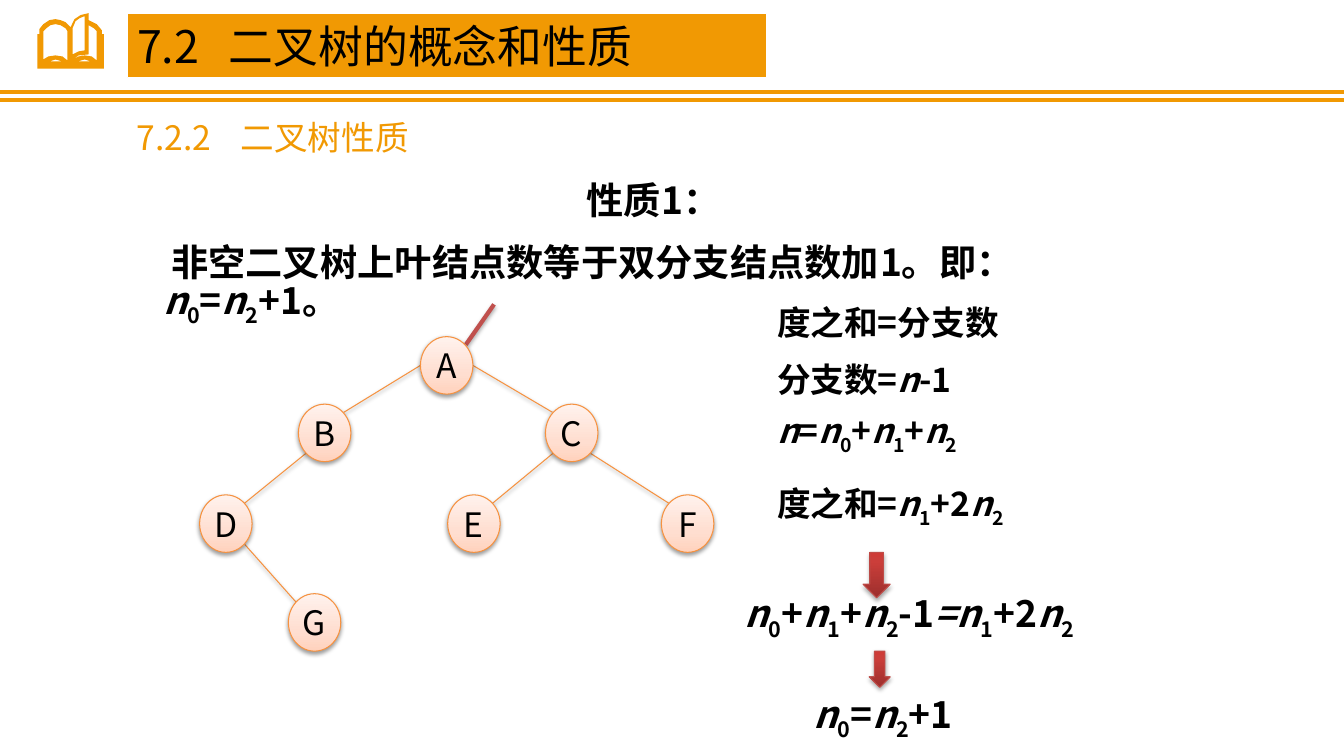
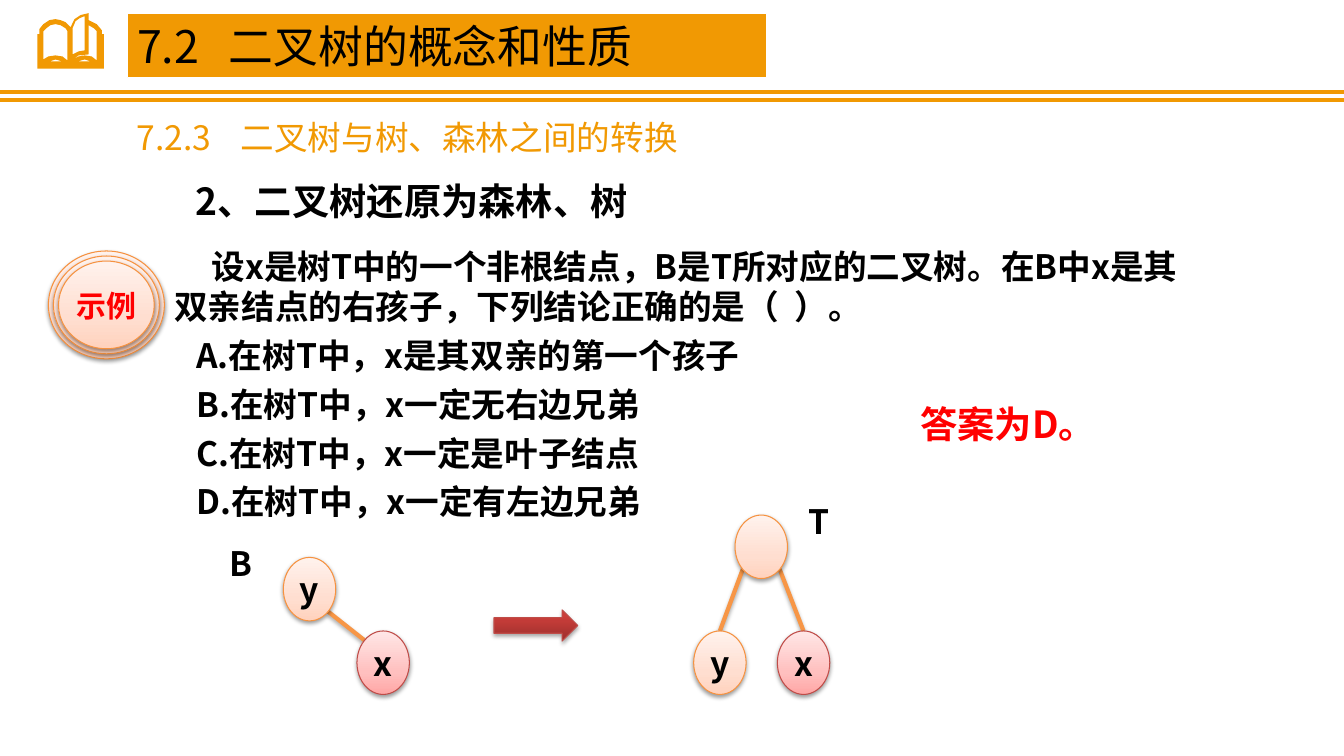
from lxml.etree import SubElement
from pptx import Presentation
from pptx.dml.color import RGBColor
from pptx.enum.shapes import MSO_CONNECTOR as LINK, MSO_SHAPE as SHAPE
from pptx.enum.text import MSO_ANCHOR as ANCHOR, MSO_AUTO_SIZE as FIT, PP_ALIGN as ALIGN
from pptx.oxml.ns import qn
from pptx.util import Inches, Pt

FONT = "Noto Sans CJK SC"
GOLD, BLACK, RED, WHITE = "F19903", "000000", "FF0000", "FFFFFF"
# Each tone: line colour, then gradient stops from bottom to top
PEACH = ("F69240", [(0, "FFD2BD"), (35, "FFDED0"), (100, "FFF2ED")])
PINK = ("BF4C48", [(0, "FFA6A5"), (35, "FFC0BF"), (100, "FFE7E7")])
BRICK = ("BF4C48", [(0, "9C2F2D"), (80, "CB3E3A"), (100, "CE3B37")])
BODY, LARGE = 24, 26.6
# Places on the rim of a node, as shares of its width and height
SITES = {"n": (0.5, 0), "w": (0, 0.5), "e": (1, 0.5), "nw": (0.15, 0.15),
         "ne": (0.85, 0.15), "sw": (0.15, 0.85), "se": (0.85, 0.85)}
# Outlines of the book, in hundredths of an inch
BOOK = [
    [(101, 34), (101, 30), (96, 24), (88, 20), (88, 13), (80, 15), (74, 19),
     (70, 27), (65, 22), (60, 20), (55, 19), (49, 20), (43, 24), (39, 29),
     (39, 34), (37, 34), (37, 68), (103, 68), (103, 34)],
    [(49, 61), (55, 59), (62, 61)],
    [(67, 60), (62, 56), (55, 55), (48, 56), (43, 59), (43, 31), (46, 28),
     (50, 25), (55, 24), (60, 25), (65, 28), (67, 31)],
    [(84, 16), (84, 50), (78, 51), (72, 54), (72, 28), (75, 21), (79, 18)],
    [(77, 61), (84, 59), (90, 61)],
    [(96, 60), (91, 56), (84, 55), (78, 56), (72, 59), (78, 55), (88, 54),
     (88, 25), (93, 28), (96, 31)],
]


def rgb(code):
    return RGBColor.from_string(code)


def place(shape, box):
    shape.left, shape.top, shape.width, shape.height = map(Inches, box)


def mark(par, text):
    """Add runs to par: *x* is italic, _x puts one character below the line."""
    for i, part in enumerate(text.split("*")):
        first, *rest = part.split("_")
        pieces = [(first, False)]
        for piece in rest:
            pieces += [(piece[0], True), (piece[1:], False)]
        for piece, low in pieces:
            if piece:
                run = par.add_run()
                run.text = piece
                run.font.italic = i % 2 == 1
                if low:
                    run._r.get_or_add_rPr().set("baseline", "-25000")


def style(par, size, color=BLACK, bold=False, align=ALIGN.LEFT):
    par.alignment = align
    par.line_spacing = Pt(size * 1.2)
    for run in par.runs:
        font = run.font
        font.size, font.bold, font.name = Pt(size), bold, FONT
        font.color.rgb = rgb(color)
        SubElement(run._r.get_or_add_rPr(), qn("a:ea")).set("typeface", FONT)


def indent(par, left, first=0):
    props = par._p.get_or_add_pPr()
    props.set("marL", str(Inches(left)))
    props.set("indent", str(Inches(first)))


def stop(par, at):
    tabs = SubElement(par._p.get_or_add_pPr(), qn("a:tabLst"))
    tab = SubElement(tabs, qn("a:tab"))
    tab.set("pos", str(Inches(at)))
    tab.set("algn", "l")


def write(slide, box, lines, size=BODY, color=BLACK, bold=True,
          align=ALIGN.LEFT, gap=0):
    """Add a text box with one paragraph a line and return its paragraphs."""
    frame = slide.shapes.add_textbox(*map(Inches, box)).text_frame
    frame.word_wrap = True
    frame.margin_top = Inches(0.07)
    for i, line in enumerate(lines):
        par = frame.add_paragraph() if i else frame.paragraphs[0]
        mark(par, line)
        style(par, size, color, bold, align)
        if i and gap:
            par.space_before = Pt(gap)
    return frame.paragraphs


def shade(shape, alpha, dist):
    """Add a soft shadow below a shape or line whose line is already set."""
    effects = SubElement(shape.element.spPr, qn("a:effectLst"))
    outer = SubElement(effects, qn("a:outerShdw"))
    for key, value in (("blurRad", Pt(3.1)), ("dist", Pt(dist)),
                       ("dir", 5400000), ("rotWithShape", 0)):
        outer.set(key, str(value))
    color = SubElement(outer, qn("a:srgbClr"))
    color.set("val", BLACK)
    SubElement(color, qn("a:alpha")).set("val", str(alpha * 1000))


def solid(slide, kind, box, tone, alpha=38, dist=1.6):
    """Add a preset shape with a tone's gradient, line and shadow."""
    edge, stops = tone
    shape = slide.shapes.add_shape(kind, *map(Inches, box))
    shape.fill.gradient()
    shape.fill.gradient_angle = 90
    ramp = shape.element.spPr.find(qn("a:gradFill")).find(qn("a:gsLst"))
    for old in list(ramp):
        ramp.remove(old)
    for pos, code in stops:
        step = SubElement(ramp, qn("a:gs"))
        step.set("pos", str(pos * 1000))
        SubElement(step, qn("a:srgbClr")).set("val", code)
    shape.line.color.rgb = rgb(edge)
    shape.line.width = Pt(0.75)
    shade(shape, alpha, dist)
    return shape


def arrow(slide, kind, box):
    solid(slide, kind, box, BRICK, 35, 1.8)


def line(slide, start, end, color, width):
    link = slide.shapes.add_connector(LINK.STRAIGHT, *map(Inches, start + end))
    link.line.color.rgb = rgb(color)
    link.line.width = Pt(width)
    return link


def node(slide, box, label, tone=PEACH, bold=False):
    frame = solid(slide, SHAPE.OVAL, box, tone).text_frame
    frame.margin_left = frame.margin_right = 0
    frame.margin_top = frame.margin_bottom = 0
    frame.vertical_anchor = ANCHOR.MIDDLE
    if label:
        frame.text = label
        style(frame.paragraphs[0], BODY, BLACK, bold, ALIGN.CENTER)


def rim(box, site):
    x, y, w, h = box
    dx, dy = SITES[site]
    return x + dx * w, y + dy * h


def tree(slide, nodes, size, edges, look, bold=False):
    """Draw edges (from, site, to, site), then nodes {key: (x, y, label, tone)}."""
    boxes = {key: (x, y) + size for key, (x, y, _, _) in nodes.items()}
    color, width, alpha, dist = look
    for one, out, two, into in edges:
        link = line(slide, rim(boxes[one], out), rim(boxes[two], into), color, width)
        shade(link, alpha, dist)
    for key, (_, _, label, tone) in nodes.items():
        node(slide, boxes[key], label, tone, bold)


def frame_up(slide, layout):
    """Make the double rule and the book, and hand them to the layout."""
    for spare in list(layout.placeholders)[1:]:
        layout.shapes.element.remove(spare.element)
    parts = []
    for y in (0.91, 0.99):
        rule = line(slide, (0, y), (13.33, y), GOLD, 3)
        SubElement(rule.element.spPr, qn("a:effectLst"))
        parts.append(rule)
    pen = slide.shapes.build_freeform(*BOOK[0][0], scale=Inches(0.01))
    for i, loop in enumerate(BOOK):
        if i:
            pen.move_to(*loop[0])
        pen.add_line_segments(loop[1:], close=True)
    book = pen.convert_to_shape()
    book.fill.solid()
    book.fill.fore_color.rgb = rgb(GOLD)
    book.line.fill.background()
    book.shadow.inherit = False
    for part in parts + [book]:
        layout.shapes.element.append(part.element)


def head(slide, topic):
    title = slide.shapes.title
    place(title, (1.26, 0.13, 6.34, 0.64))
    title.fill.solid()
    title.fill.fore_color.rgb = rgb(GOLD)
    title.line.color.rgb = rgb(WHITE)
    title.line.width = Pt(0.75)
    frame = title.text_frame
    frame.auto_size, frame.vertical_anchor = FIT.NONE, ANCHOR.MIDDLE
    frame.text = "7.2\t二叉树的概念和性质"
    par = frame.paragraphs[0]
    stop(par, 0.91)
    style(par, 32)
    stop(write(slide, (1.26, 1.09, 6.33, 0.5), [topic], color=GOLD, bold=False)[0], 1.03)


def proof(slide, x, y):
    """Place the chain of formulas with its top left corner at x, y."""
    write(slide, (x + 0.32, y, 2.6, 1.72),
          ["度之和=分支数", "分支数=*n*-1", "*n*=*n*_0+*n*_1+*n*_2"], gap=12)
    write(slide, (x + 0.32, y + 1.86, 2.6, 0.5), ["度之和=*n*_1+2*n*_2"])
    arrow(slide, SHAPE.DOWN_ARROW, (x + 1.27, y + 2.56, 0.27, 0.45))
    write(slide, (x, y + 2.93, 3.75, 0.55),
          ["*n*_0+*n*_1+*n*_2-1*=n*_1+2*n*_2"], LARGE)
    arrow(slide, SHAPE.DOWN_ARROW, (x + 1.33, y + 3.54, 0.21, 0.36))
    write(slide, (x + 0.68, y + 3.93, 1.67, 0.55), ["*n*_0=*n*_2+1"], LARGE)


def rule_one(slide):
    head(slide, "7.2.2\t二叉树性质")
    write(slide, (1.57, 1.69, 9.82, 0.55), ["性质1："], LARGE, align=ALIGN.CENTER)
    pars = write(slide, (1.52, 2.3, 10.64, 1),
                 ["非空二叉树上叶结点数等于双分支结点数加1。即：", "*n*_0=*n*_2+1。"], LARGE)
    indent(pars[0], 0, 0.08)
    shade(line(slide, (4.9, 3.02), (4.62, 3.42), "C0504D", 3), 35, 1.8)
    spots = {"A": (4.17, 3.34), "B": (2.96, 4.01), "C": (5.41, 4.01), "D": (1.98, 4.91),
             "E": (4.44, 4.91), "F": (6.56, 4.91), "G": (2.86, 5.89)}
    edges = [("A", "w", "B", "ne"), ("A", "e", "C", "nw"), ("B", "sw", "D", "ne"),
             ("C", "sw", "E", "ne"), ("C", "se", "F", "nw"), ("D", "se", "G", "nw")]
    tree(slide, {key: spot + (key, PEACH) for key, spot in spots.items()},
         (0.52, 0.57), edges, (PEACH[0], 0.75, 38, 1.6))
    proof(slide, 7.29, 2.92)


def badge(slide, x, y, w, h):
    for i in range(3):
        d = 0.05 * i
        solid(slide, SHAPE.OVAL, (x + d, y + d, w - 2 * d, h - 2 * d), PEACH)
    write(slide, (x, y + 0.29, w, 0.46), ["示例"], 21.4, RED, align=ALIGN.CENTER)


def quiz(slide, box):
    pars = write(slide, box, [
        "设x是树T中的一个非根结点，B是T所对应的二叉树。在B中x是其双亲结点的右孩子，下列结论正确的是（  ）。",
        "A.在树T中，x是其双亲的第一个孩子",
        "B.在树T中，x一定无右边兄弟",
        "C.在树T中，x一定是叶子结点",
        "D.在树T中，x一定有左边兄弟",
    ], gap=6)
    indent(pars[0], 0, 0.37)
    for par in pars[1:]:
        indent(par, 0.22)


def restore(slide, x, y):
    """Place the binary tree, the arrow and the tree it becomes."""
    size, look = (0.52, 0.63), ("F79646", 3, 35, 1.8)
    for name, dx, dy in (("B", 0, 0.42), ("T", 5.73, 0)):
        write(slide, (x + dx, y + dy, 0.63, 0.5), [name], align=ALIGN.CENTER)
    tree(slide, {"y": (x + 0.73, y + 0.63, "y", PEACH),
                 "x": (x + 1.46, y + 1.36, "x", PINK)},
         size, [("y", "se", "x", "nw")], look, True)
    arrow(slide, SHAPE.RIGHT_ARROW, (x + 2.82, y + 1.15, 0.83, 0.31))
    tree(slide, {"top": (x + 5.21, y + 0.21, "", PEACH),
                 "y": (x + 4.8, y + 1.36, "y", PEACH),
                 "x": (x + 5.63, y + 1.36, "x", PINK)},
         size, [("top", "sw", "y", "n"), ("top", "se", "x", "n")], look, True)


def forest(slide):
    head(slide, "7.2.3\t二叉树与树、森林之间的转换")
    write(slide, (1.51, 1.7, 5.15, 0.55), ["2、二叉树还原为森林、树"], LARGE, align=ALIGN.CENTER)
    quiz(slide, (1.63, 2.37, 10.2, 2.86))
    write(slide, (9.03, 3.91, 2.4, 0.55), ["答案为D。"], LARGE, RED)
    restore(slide, 2.08, 4.9)
    badge(slide, 0.48, 2.49, 1.15, 1.07)


def main():
    deck = Presentation()
    deck.slide_width, deck.slide_height = Inches(13.33), Inches(7.5)
    layout = deck.slide_layouts[5]
    first, second = (deck.slides.add_slide(layout) for _ in range(2))
    frame_up(first, layout)
    rule_one(first)
    forest(second)
    deck.save("out.pptx")


if __name__ == "__main__":
    main()
